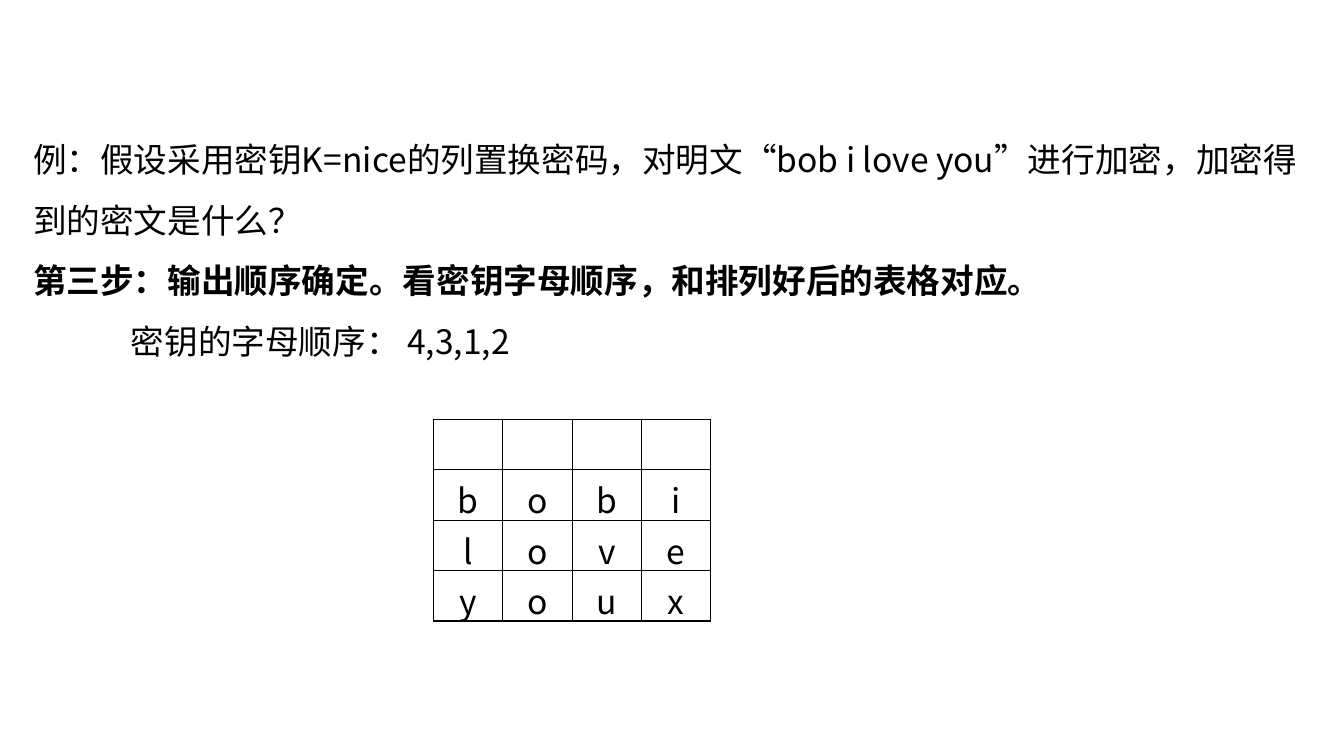
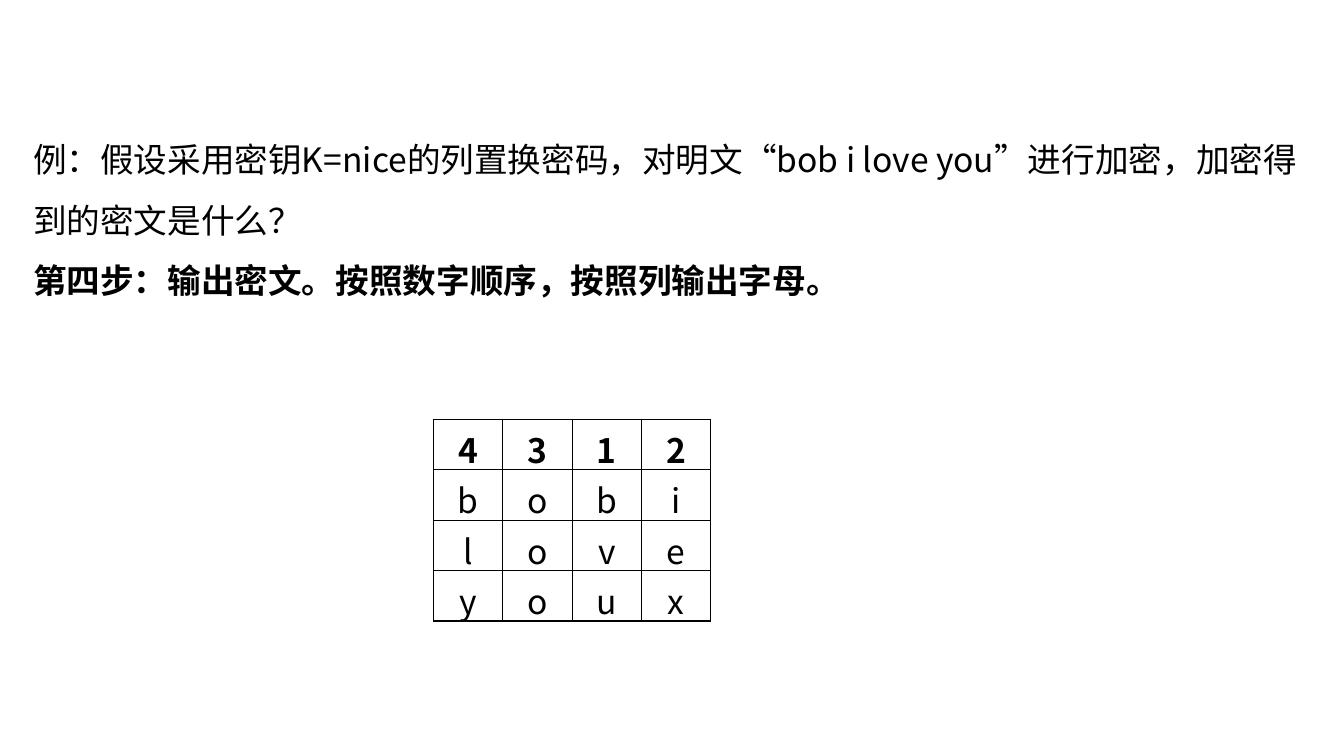
import pptx
import pptx.dml.color
import pptx.enum.text
import pptx.oxml
import pptx.oxml.ns
import pptx.util
from lxml import etree

Inches = pptx.util.Inches
Pt = pptx.util.Pt
qn = pptx.oxml.ns.qn

COLORS = {"ink": "000000", "paper": "FFFFFF"}
FONT = "Noto Sans CJK SC"
BODY = {"name": FONT, "size": Pt(24), "bold": False}
STRONG = {**BODY, "bold": True}

SLIDE_WIDTH, SLIDE_HEIGHT = Inches(13.33), Inches(7.5)
TEXT_LEFT, TEXT_TOP, TEXT_WIDTH = Inches(0.23), Inches(1.13), Inches(12.81)
LINE_HEIGHT = 0.6
INDENT = Inches(0.97)
TABLE_LEFT, TABLE_TOP = Inches(4.3), Inches(4.16)
COLUMN_WIDTH, ROW_HEIGHT = Inches(2.75 / 4), Inches(0.5)

QUESTION = "例：假设采用密钥K=nice的列置换密码，对明文“bob i love you”进行加密，加密得到的密文是什么？"
PLAINTEXT_ROWS = ["bobi", "love", "youx"]


def color(name):
    return pptx.dml.color.RGBColor.from_string(COLORS[name])


def set_attributes(target, values):
    for name, value in values.items():
        setattr(target, name, value)


def write(para, text, style):
    span = para.add_run()
    span.text = text
    set_attributes(span.font, style)
    span.font.color.rgb = color("ink")
    east_asian = etree.SubElement(span.font._element, qn("a:ea"))
    east_asian.set("typeface", FONT)


def add_text(page, lines, line_count):
    height = Inches(LINE_HEIGHT * line_count + 0.12)
    box = page.shapes.add_textbox(TEXT_LEFT, TEXT_TOP, TEXT_WIDTH, height)
    frame = box.text_frame
    set_attributes(frame, {
        "word_wrap": True,
        "auto_size": pptx.enum.text.MSO_AUTO_SIZE.SHAPE_TO_FIT_TEXT,
    })
    for index, (text, style, indent) in enumerate(lines):
        para = frame.add_paragraph() if index else frame.paragraphs[0]
        para.line_spacing = 1.5
        if indent:
            para._p.get_or_add_pPr().set("marL", str(indent))
        write(para, text, style)


def add_borders(cell):
    properties = cell._tc.get_or_add_tcPr()
    for position, side in enumerate(("lnL", "lnR", "lnT", "lnB")):
        line = etree.Element(qn("a:" + side), w=str(Pt(1)))
        fill = etree.SubElement(line, qn("a:solidFill"))
        etree.SubElement(fill, qn("a:srgbClr"), val=COLORS["ink"])
        properties.insert(position, line)


def add_letter_table(page, header):
    rows = [header] + PLAINTEXT_ROWS
    columns = len(PLAINTEXT_ROWS[0])
    table = page.shapes.add_table(
        len(rows), columns, TABLE_LEFT, TABLE_TOP,
        COLUMN_WIDTH * columns, ROW_HEIGHT * len(rows),
    ).table
    set_attributes(table, {"first_row": False, "horz_banding": False})
    for row_index, letters in enumerate(rows):
        table.rows[row_index].height = ROW_HEIGHT
        for column_index in range(columns):
            cell = table.cell(row_index, column_index)
            cell.vertical_anchor = pptx.enum.text.MSO_ANCHOR.MIDDLE
            cell.fill.background()
            add_borders(cell)
            if letters:
                para = cell.text_frame.paragraphs[0]
                para.alignment = pptx.enum.text.PP_ALIGN.CENTER
                write(para, letters[column_index], BODY if row_index else STRONG)


def add_step(deck, step, header="", detail=""):
    page = deck.slides.add_slide(deck.slide_layouts[6])
    page.background.fill.solid()
    page.background.fill.fore_color.rgb = color("paper")
    lines = [(QUESTION, BODY, 0), (step, STRONG, 0)]
    if detail:
        lines.append((detail, BODY, INDENT))
    add_text(page, lines, len(lines) + 1)
    add_letter_table(page, header)


def main():
    deck = pptx.Presentation()
    set_attributes(deck, {"slide_width": SLIDE_WIDTH, "slide_height": SLIDE_HEIGHT})
    add_step(deck, "第三步：输出顺序确定。看密钥字母顺序，和排列好后的表格对应。",
             detail="密钥的字母顺序： 4,3,1,2")
    add_step(deck, "第四步：输出密文。按照数字顺序，按照列输出字母。", header="4312")
    deck.save("out.pptx")


if __name__ == "__main__":
    main()
